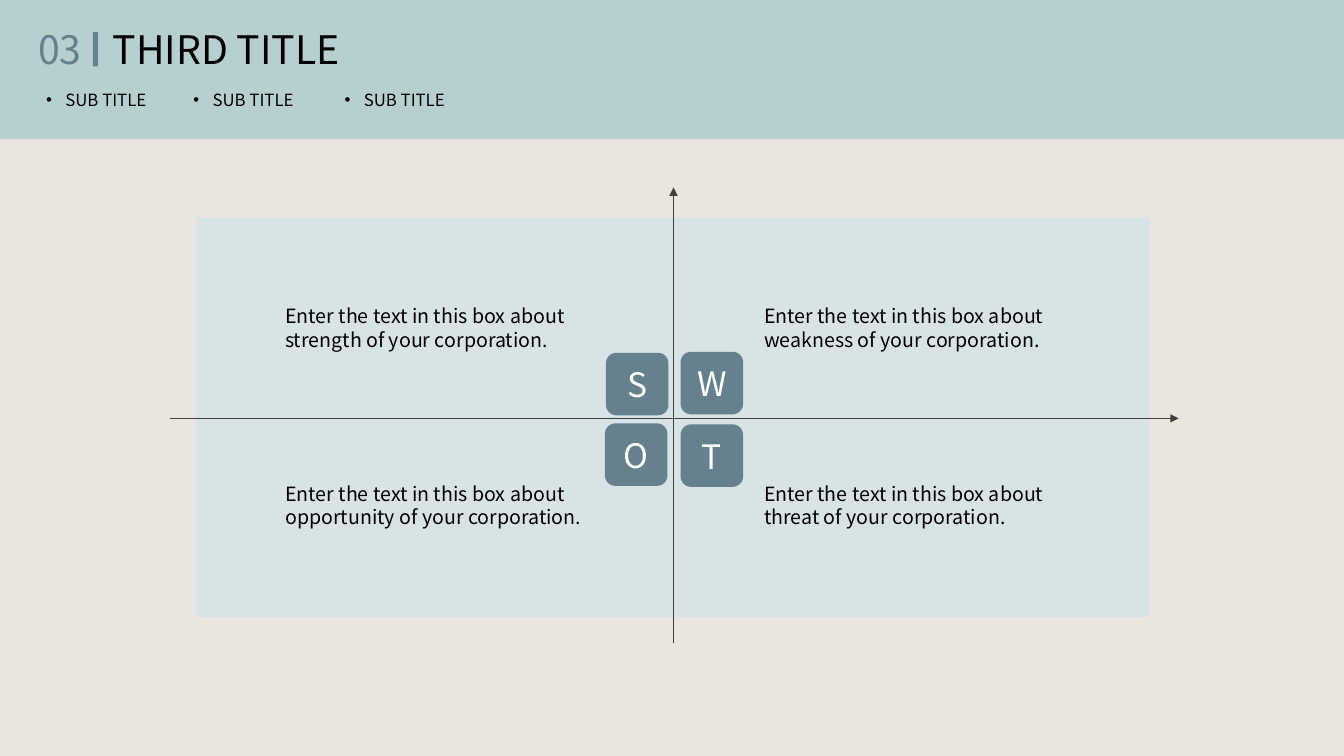
from pptx import Presentation, util as u
from pptx.dml.color import RGBColor
from pptx.enum import shapes, text
from pptx.oxml.ns import qn
from lxml import etree

FONT = "Noto Sans CJK KR"
SLATE, INK, WHITE = "64818D", "000000", "FFFFFF"
TITLES = [("03", 0.28, 0.74, SLATE), ("THIRD TITLE", 1.02, 2.95, INK)]
SUBS = [("SUB TITLE", 0.36), ("SUB TITLE", 1.82), ("SUB TITLE", 3.32)]
SWOT = [
    ("S", "strength", 6.01, 3.5),
    ("W", "weakness", 6.75, 3.49),
    ("O", "opportunity", 6, 4.2),
    ("T", "threat", 6.75, 4.21),
]
WIDE, HIGH = 13.33, 7.5
MID_X, MID_Y = 6.68, 4.15
NOTE_X, NOTE_Y = (2.73, 7.48), (2.97, 4.73)
AXES = [(MID_X, 6.38, MID_X, 1.86), (1.69, MID_Y, 11.69, MID_Y)]

deck = Presentation()
deck.slide_width, deck.slide_height = u.Inches(WIDE), u.Inches(HIGH)
slide = deck.slides.add_slide(deck.slide_layouts[6])


def paint(fill, color):
    fill.solid()
    fill.fore_color.rgb = RGBColor.from_string(color)


def inch(*sizes):
    return [u.Inches(size) for size in sizes]


def write(shape, words, size, color):
    frame = shape.text_frame
    frame.word_wrap = True
    frame.text = words
    font = frame.paragraphs[0].runs[0].font
    font.size, font.name = u.Pt(size), FONT
    paint(font.fill, color)
    props = font._element
    for tag in ("a:ea", "a:cs"):
        etree.SubElement(props, qn(tag)).set("typeface", FONT)
    return frame.paragraphs[0]


def label(words, box, size, color=INK):
    return write(slide.shapes.add_textbox(*inch(*box)), words, size, color)


def block(box, color, kind=shapes.MSO_SHAPE.RECTANGLE):
    shape = slide.shapes.add_shape(kind, *inch(*box))
    shape.shadow.inherit = False
    shape.line.fill.background()
    paint(shape.fill, color)
    return shape


def axis(ends):
    line = slide.shapes.add_connector(shapes.MSO_CONNECTOR.STRAIGHT, *inch(*ends))
    line.line.width = u.Pt(0.5)
    paint(line.line.fill, "404040")
    props = line._element.spPr
    etree.SubElement(props.find(qn("a:ln")), qn("a:tailEnd")).set("type", "triangle")
    etree.SubElement(props, qn("a:effectLst"))


paint(slide.background.fill, "EAE6DF")
block((0, 0, WIDE, 1.38), "B7CFCE")
for words, left, width, color in TITLES:
    label(words, (left, 0.2, width, 0.57), 28, color)
for words, left in SUBS:
    props = label(words, (left, 0.84, 1.95, 0.3), 12)._p.get_or_add_pPr()
    props.set("marL", str(u.Inches(0.19)))
    props.set("indent", str(-u.Inches(0.19)))
    etree.SubElement(props, qn("a:buFont")).set("typeface", "Arial")
    etree.SubElement(props, qn("a:buChar")).set("char", "•")
block((0.92, 0.32, 0.05, 0.34), SLATE)

block((1.95, 2.16, 9.45, 3.96), "D8E3E5")
for ends in AXES:
    axis(ends)
for spot, (mark, topic, left, top) in enumerate(SWOT):
    row, col = divmod(spot, 2)
    tile = block((left, top, 0.62, 0.62), SLATE, shapes.MSO_SHAPE.ROUNDED_RECTANGLE)
    tile.text_frame.vertical_anchor = text.MSO_ANCHOR.MIDDLE
    write(tile, mark, 24, WHITE).alignment = text.PP_ALIGN.CENTER
    label(f"Enter the text in this box about {topic} of your corporation.",
          (NOTE_X[col], NOTE_Y[row], 3.14, 0.57), 14)

deck.save("out.pptx")
